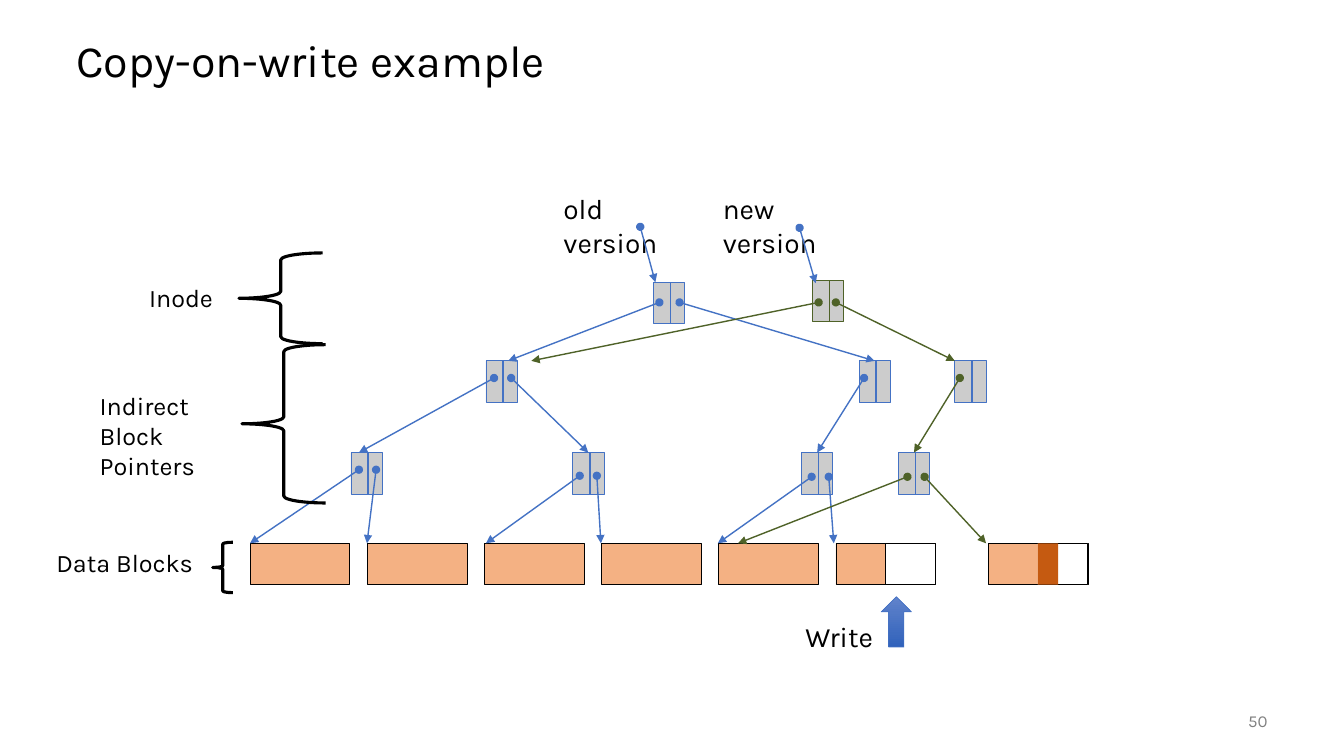
from lxml import etree
from pptx import Presentation
from pptx import util as u
from pptx.dml.color import RGBColor
from pptx.enum import shapes, text
from pptx.oxml.ns import qn

FONT = "Karla"
BLACK, WHITE, GRAY = "000000", "FFFFFF", "CCCCCC"
BLUE, GREEN, PEACH, RUST = "4472C4", "4F6228", "F4B183", "C55A11"

LABELS = [
    ("Copy-on-write example", (0.66, 0.25, 12, 0.75),
     dict(size=32, anchor=text.MSO_ANCHOR.MIDDLE, spacing=0.9)),
    ("50", (11.67, 6.95, 1, 0.4),
     dict(size=12, color="808080", anchor=text.MSO_ANCHOR.MIDDLE, align=text.PP_ALIGN.RIGHT)),
    ("Write", (7.89, 6.1, 0.9, 0.44), dict(size=20, wrap=False)),
    ("old version", (5.49, 1.85, 1.47, 0.44), dict(size=20)),
    ("new version", (7.07, 1.85, 1.58, 0.44), dict(size=20)),
    ("Inode", (1.38, 2.75, 0.95, 0.4), dict(size=18)),
    ("Indirect Block Pointers", (0.89, 3.82, 1.65, 0.71), dict(size=18)),
    ("Data Blocks", (0.46, 5.38, 1.65, 0.4), dict(size=18)),
]

BRACES = [(2.37, 2.51, 0.83, 0.9), (2.4, 3.42, 0.83, 1.57), (2.11, 5.38, 0.2, 0.5)]

ROOT_TOP, MIDDLE_TOP, LEAF_TOP, BLOCK_TOP = 2.8, 3.58, 4.49, 5.39
NODE_WIDTH, NODE_HEIGHT, DIVIDER = 0.31, 0.41, 0.17
BLOCK_LEFT, BLOCK_PITCH, BLOCK_WIDTH, BLOCK_HEIGHT = 2.48, 1.162, 0.99, 0.41
COPY_LEFT = 9.8

# name: left, top, outline, first dot, gap between dots, dot drop
NODES = {
    "old root": (6.48, ROOT_TOP, BLUE, 0.06, 0.2, 0.2),
    "new root": (8.06, ROOT_TOP - 0.02, GREEN, 0.06, 0.17, 0.22),
    "left": (4.82, MIDDLE_TOP, BLUE, 0.08, 0.17, 0.17),
    "right": (8.52, MIDDLE_TOP, BLUE, 0.05, 0.17, 0.17),
    "new right": (9.47, MIDDLE_TOP, BLUE, 0.05, 0.17, 0.17),
    "leaf 1": (3.48, LEAF_TOP, BLUE, 0.08, 0.17, 0.17),
    "leaf 2": (5.68, LEAF_TOP, BLUE, 0.07, 0.17, 0.23),
    "leaf 3": (7.95, LEAF_TOP, BLUE, 0.1, 0.17, 0.24),
    "new leaf": (8.91, LEAF_TOP, BLUE, 0.09, 0.17, 0.24),
}

POINTERS = [
    ("old root", 0, (5.04, MIDDLE_TOP), BLUE),
    ("old root", 1, "right", BLUE),
    ("left", 0, (3.56, LEAF_TOP), BLUE),
    ("left", 1, "leaf 2", BLUE),
    ("right", 0, "leaf 3", BLUE),
    ("leaf 1", 0, (2.48, BLOCK_TOP), BLUE),
    ("leaf 1", 1, (3.64, BLOCK_TOP), BLUE),
    ("leaf 2", 0, (4.82, BLOCK_TOP), BLUE),
    ("leaf 2", 1, (5.96, BLOCK_TOP), BLUE),
    ("leaf 3", 0, (7.12, BLOCK_TOP), BLUE),
    ("leaf 3", 1, (8.27, BLOCK_TOP), BLUE),
    ("new right", 0, "new leaf", GREEN),
    ("new leaf", 0, (7.32, BLOCK_TOP), GREEN),
    ("new leaf", 1, (9.78, BLOCK_TOP), GREEN),
    ("new root", 0, (5.27, MIDDLE_TOP), GREEN),
    ("new root", 1, (9.47, MIDDLE_TOP), GREEN),
]

VERSION_ARROWS = [((6.35, 2.25), (6.5, 2.8)), ((7.93, 2.26), (8.09, 2.81))]

presentation = Presentation()
presentation.slide_width = u.Inches(13.33)
presentation.slide_height = u.Inches(7.5)
slide = presentation.slides.add_slide(presentation.slide_layouts[6])


def rgb(color):
    return RGBColor.from_string(color)


def inches(values):
    return [u.Inches(value) for value in values]


def add_text(words, box, size, color=BLACK, wrap=True, anchor=text.MSO_ANCHOR.TOP,
             align=text.PP_ALIGN.LEFT, spacing=None):
    frame = slide.shapes.add_textbox(*inches(box)).text_frame
    frame.word_wrap = wrap
    frame.vertical_anchor = anchor
    paragraph = frame.paragraphs[0]
    paragraph.alignment = align
    paragraph.line_spacing = spacing
    run = paragraph.add_run()
    run.text = words
    run.font.name = FONT
    run.font.size = u.Pt(size)
    run.font.color.rgb = rgb(color)


def add_shape(kind, box, fill=None, line=BLACK, width=0.5):
    shape = slide.shapes.add_shape(kind, *inches(box))
    shape.shadow.inherit = False
    if fill:
        shape.fill.solid()
        shape.fill.fore_color.rgb = rgb(fill)
    else:
        shape.fill.background()
    if line:
        shape.line.color.rgb = rgb(line)
        shape.line.width = u.Pt(width)
    else:
        shape.line.fill.background()
    return shape


def add_line(start, end, color, pointer=False):
    line = slide.shapes.add_connector(shapes.MSO_CONNECTOR.STRAIGHT, *inches(start + end))
    line.line.color.rgb = rgb(color)
    line.line.width = u.Pt(1)
    if pointer:
        outline = line.line._get_or_add_ln()
        etree.SubElement(outline, qn("a:headEnd"), type="oval")
        etree.SubElement(outline, qn("a:tailEnd"), type="triangle")
    etree.SubElement(line._element.spPr, qn("a:effectLst"))
    return line


RECTANGLE = shapes.MSO_SHAPE.RECTANGLE
half = BLOCK_WIDTH / 2
block_lefts = [BLOCK_LEFT + i * BLOCK_PITCH for i in range(6)] + [COPY_LEFT]
for left in block_lefts:
    add_shape(RECTANGLE, (left, BLOCK_TOP, BLOCK_WIDTH, BLOCK_HEIGHT), PEACH)
for left in block_lefts[-2:]:
    add_shape(RECTANGLE, (left + half, BLOCK_TOP, half, BLOCK_HEIGHT), WHITE)
add_shape(RECTANGLE, (COPY_LEFT + half, BLOCK_TOP, 0.2, BLOCK_HEIGHT), RUST, None)

write_arrow = add_shape(shapes.MSO_SHAPE.UP_ARROW, (8.74, 5.92, 0.3, 0.5), line=BLUE)
write_arrow.fill.gradient()
write_arrow.fill.gradient_angle = 270
for stop, color in zip(write_arrow.fill.gradient_stops, ("6183CB", "3062BB")):
    stop.color.rgb = rgb(color)

node_shapes = {}
for name, (left, top, color, *_) in NODES.items():
    node_shapes[name] = add_shape(RECTANGLE, (left, top, NODE_WIDTH, NODE_HEIGHT), GRAY, color)
    add_line((left + DIVIDER, top), (left + DIVIDER, top + NODE_HEIGHT), color)

for name, slot, target, color in POINTERS:
    left, top, _, dot, gap, drop = NODES[name]
    joined = target in node_shapes
    end = (NODES[target][0] + NODE_WIDTH / 2, NODES[target][1]) if joined else target
    pointer = add_line((left + dot + slot * gap, top + drop), end, color, pointer=True)
    if joined:
        pointer.end_connect(node_shapes[target], 0)

for words, box, style in LABELS:
    add_text(words, box, **style)
for start, end in VERSION_ARROWS:
    add_line(start, end, BLUE, pointer=True)
for box in BRACES:
    add_shape(shapes.MSO_SHAPE.LEFT_BRACE, box, width=2.25)

presentation.save("out.pptx")
